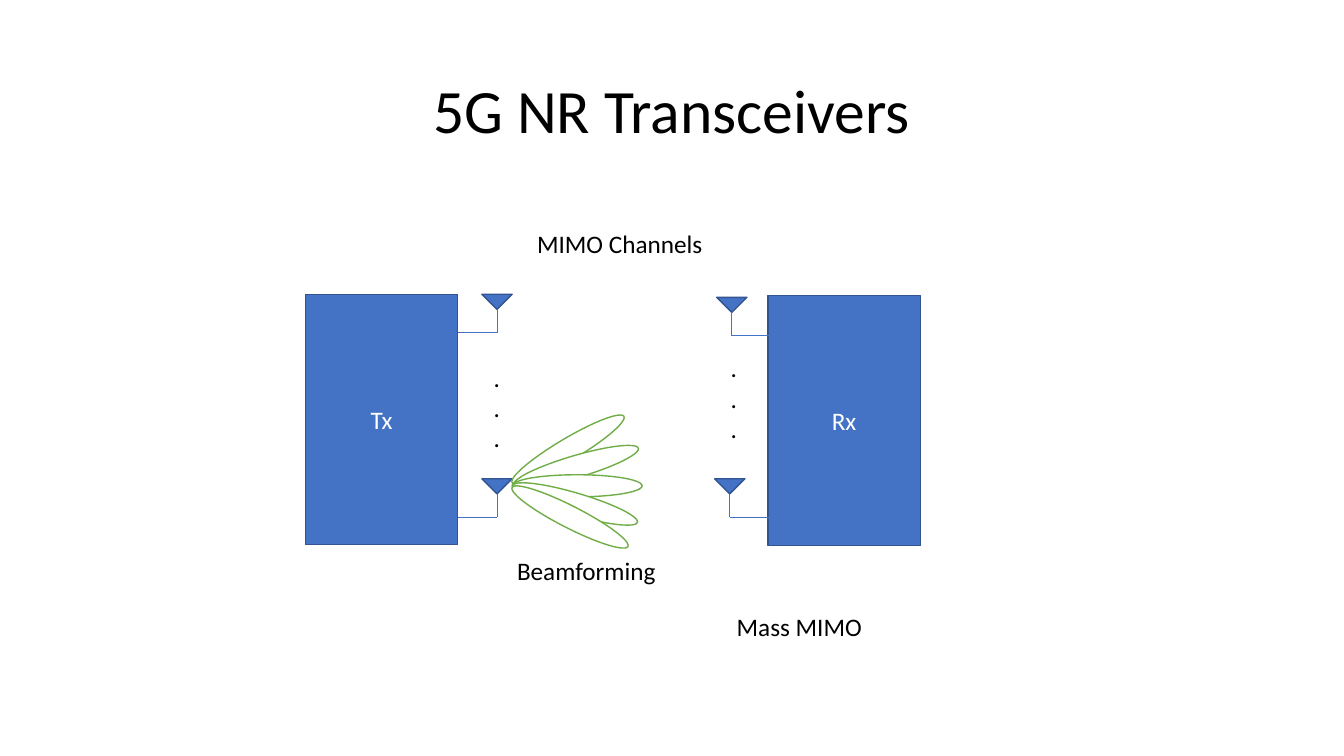
from lxml import etree
from pptx import Presentation
from pptx.dml.color import RGBColor
from pptx.enum.shapes import MSO_CONNECTOR, MSO_SHAPE
from pptx.enum.text import MSO_ANCHOR, MSO_AUTO_SIZE, PP_ALIGN
from pptx.oxml.ns import qn
from pptx.util import Pt

RECTANGLE, TRIANGLE, OVAL = MSO_SHAPE.RECTANGLE, MSO_SHAPE.ISOSCELES_TRIANGLE, MSO_SHAPE.OVAL
STRAIGHT = MSO_CONNECTOR.STRAIGHT
LEFT, CENTER = PP_ALIGN.LEFT, PP_ALIGN.CENTER
TOP, MIDDLE = MSO_ANCHOR.TOP, MSO_ANCHOR.MIDDLE
FIT_SHAPE, NO_FIT = MSO_AUTO_SIZE.SHAPE_TO_FIT_TEXT, MSO_AUTO_SIZE.NONE

COLORS = {
    name: RGBColor.from_string(value)
    for name, value in {
        "black": "000000", "white": "FFFFFF", "blue": "4472C4",
        "outline": "325491", "green": "70AD47",
    }.items()
}


def write(box, text, size=18, color="black", align=LEFT, anchor=TOP, wrap=False, spacing=None):
    """Fill a shape with one paragraph per line; unwrapped boxes fit their text."""
    frame = box.text_frame
    frame.text = text
    frame.word_wrap = wrap
    frame.auto_size = NO_FIT if wrap else FIT_SHAPE
    frame.vertical_anchor = anchor
    for para in frame.paragraphs:
        para.alignment = align
        para.line_spacing = spacing
        para.font.name = "Calibri"
        para.font.size = Pt(size)
        para.font.color.rgb = COLORS[color]


def draw(shapes, kind, left, top, width, height, fill="blue", line="outline", angle=0):
    shape = shapes.add_shape(kind, Pt(left), Pt(top), Pt(width), Pt(height))
    shape.shadow.inherit = False
    shape.fill.solid()
    shape.fill.fore_color.rgb = COLORS[fill]
    shape.line.color.rgb = COLORS[line]
    shape.line.width = Pt(1)
    shape.rotation = angle
    return shape


deck = Presentation()
deck.slide_width, deck.slide_height = Pt(960), Pt(540)
page = deck.slides.add_slide(deck.slide_layouts[6])

title = page.shapes.add_textbox(Pt(66), Pt(28.8), Pt(828), Pt(104.4))
write(title, "5G NR Transceivers", size=44, align=CENTER, anchor=MIDDLE, wrap=True, spacing=0.9)

for name, left, top in [("Tx", 218.2, 210.2), ("Rx", 548.6, 211)]:
    station = draw(page.shapes, RECTANGLE, left, top, 108.8, 178.6)
    write(station, name, color="white", align=CENTER, anchor=MIDDLE, wrap=True)

# Antennas: mast position, top edge, and the side their feed line runs to
ANTENNA_WIDTH, ANTENNA_HEIGHT, MAST, FEED = 21.6, 10.8, 16.6, 28
for mast_x, top, side in [(355, 210.2, -1), (355, 342, -1), (522.7, 212.4, 1), (521.3, 342, 1)]:
    antenna = page.shapes.add_group_shape().shapes
    draw(antenna, TRIANGLE, mast_x - ANTENNA_WIDTH / 2, top, ANTENNA_WIDTH, ANTENNA_HEIGHT, angle=180)
    tip_y = top + ANTENNA_HEIGHT
    foot_y = tip_y + MAST
    for start, end in [
        ((mast_x, tip_y), (mast_x, foot_y)),
        ((mast_x, foot_y), (mast_x + side * FEED, foot_y)),
    ]:
        wire = antenna.add_connector(STRAIGHT, *map(Pt, start + end))
        wire.line.color.rgb = COLORS["blue"]
        wire.line.width = Pt(0.5)
        etree.SubElement(wire._element.spPr, qn("a:effectLst"))

# Beam lobes, fanned out from the lower transmit antenna
for left, top, angle in [
    (359.3, 313.2, 329.3),
    (365, 325.4, 343.6),
    (365.8, 339.1, 0),
    (364.3, 352.1, 16.4),
    (360.7, 361.4, 27),
]:
    draw(page.shapes, OVAL, left, top, 92.9, 15.8, fill="white", line="green", angle=angle)

for text, left, top, width, height in [
    (".\n.\n.", 345.6, 254.9, 19.4, 72.7),
    (".\n.\n.", 514.8, 248.4, 19.4, 72.7),
    ("Beamforming", 362.2, 393.1, 114.5, 28.8),
    ("Mass MIMO", 519.1, 433.4, 104.4, 28.8),
    ("MIMO Channels", 376.6, 159.8, 133.9, 28.8),
]:
    label = page.shapes.add_textbox(Pt(left), Pt(top), Pt(width), Pt(height))
    write(label, text)

deck.save("out.pptx")
